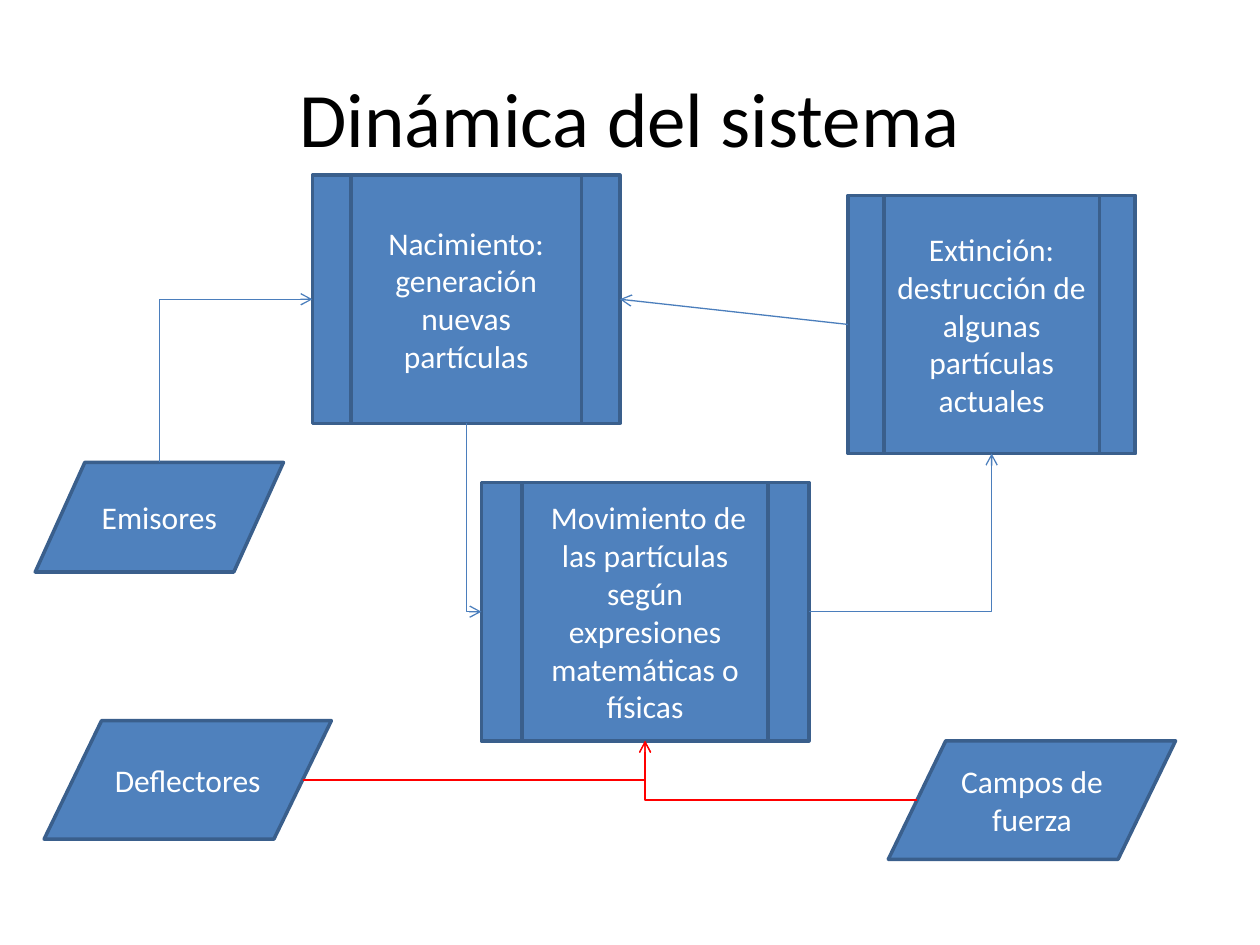
from pptx import Presentation
from pptx.dml.color import RGBColor
from pptx.enum.shapes import MSO_CONNECTOR, MSO_SHAPE
from pptx.enum.text import MSO_ANCHOR, PP_ALIGN
from pptx.oxml.ns import qn
from pptx.util import Inches, Pt
from lxml import etree

PROCESS = MSO_SHAPE.FLOWCHART_PREDEFINED_PROCESS
DATA = MSO_SHAPE.FLOWCHART_DATA
STRAIGHT = MSO_CONNECTOR.STRAIGHT
MIDDLE = MSO_ANCHOR.MIDDLE
CENTER = PP_ALIGN.CENTER

FILL, OUTLINE, BLUE, RED = "4F81BD", "3A5F8C", "4B7EBC", "FF0000"
WHITE, BLACK = "FFFFFF", "000000"

# Connection sites as fractions of width and height
TOP, LEFT, BOTTOM, RIGHT = (0.5, 0), (0, 0.5), (0.5, 1), (1, 0.5)
DATA_LEFT, DATA_RIGHT = (0.1, 0.5), (0.9, 0.5)

# name: (preset, left, top, width, height, text)
NODES = {
    "Nacimiento": (PROCESS, 2.48, 1.39, 2.44, 1.97,
                   "Nacimiento:\ngeneración nuevas partículas"),
    "Movimiento": (PROCESS, 3.82, 3.83, 2.6, 2.05,
                   " Movimiento de las partículas según expresiones "
                   "matemáticas o físicas"),
    "Extinción": (PROCESS, 6.73, 1.55, 2.28, 2.05,
                  "Extinción: destrucción de algunas partículas actuales"),
    "Emisores": (DATA, 0.28, 3.67, 1.97, 0.87, "Emisores"),
    "Campos": (DATA, 7.05, 5.88, 2.28, 0.94, "Campos de fuerza"),
    "Deflectores": (DATA, 0.35, 5.72, 2.28, 0.94, "Deflectores"),
}

# (from, site, to, site, route, colour)
ARROWS = [
    ("Nacimiento", BOTTOM, "Movimiento", LEFT, "down", BLUE),
    ("Movimiento", RIGHT, "Extinción", BOTTOM, "across", BLUE),
    ("Extinción", LEFT, "Nacimiento", RIGHT, "straight", BLUE),
    ("Campos", DATA_LEFT, "Movimiento", BOTTOM, "across", RED),
    ("Deflectores", DATA_RIGHT, "Movimiento", BOTTOM, "across", RED),
    ("Emisores", TOP, "Nacimiento", LEFT, "up", BLUE),
]


def colour(value):
    return RGBColor.from_string(value)


def format_text(text_frame, text, size, text_colour):
    text_frame.text = text
    text_frame.word_wrap = True
    text_frame.vertical_anchor = MIDDLE
    for paragraph in text_frame.paragraphs:
        paragraph.alignment = CENTER
        font = paragraph.runs[0].font
        for name, value in {"size": Pt(size), "name": "Calibri"}.items():
            setattr(font, name, value)
        font.color.rgb = colour(text_colour)


def add_node(slide, preset, left, top, width, height, text):
    box = [Inches(value) for value in (left, top, width, height)]
    shape = slide.shapes.add_shape(preset, *box)
    shape.shadow.inherit = False
    shape.fill.solid()
    shape.fill.fore_color.rgb = colour(FILL)
    shape.line.color.rgb = colour(OUTLINE)
    shape.line.width = Pt(2)
    format_text(shape.text_frame, text, 18, WHITE)
    return shape


def site_point(shape, site):
    return (int(shape.left + shape.width * site[0]),
            int(shape.top + shape.height * site[1]))


def bend(connector, route):
    """Make one corner; vertical-first routes are turned by 270 degrees."""
    properties = connector._element.spPr
    properties.find(qn("a:prstGeom")).set("prst", "bentConnector2")
    if route == "across":
        return
    left, top = connector.left, connector.top
    width, height = connector.width, connector.height
    transform = properties.find(qn("a:xfrm"))
    for name in ("flipH", "flipV"):
        transform.attrib.pop(name, None)
    transform.set("rot", str(270 * 60000))
    if route == "down":
        transform.set("flipH", "1")
    connector.left = left + (width - height) // 2
    connector.top = top + (height - width) // 2
    connector.width, connector.height = height, width


def add_arrow(slide, start, end, route, line_colour):
    connector = slide.shapes.add_connector(STRAIGHT, *start, *end)
    if route != "straight":
        bend(connector, route)
    connector.line.color.rgb = colour(line_colour)
    connector.line.width = Pt(0.75)
    line = connector.line._get_or_add_ln()
    etree.SubElement(line, qn("a:tailEnd"), type="arrow")
    etree.SubElement(connector._element.spPr, qn("a:effectLst"))


def main():
    presentation = Presentation()
    presentation.slide_width = Inches(10)
    presentation.slide_height = Inches(7.5)
    slide = presentation.slides.add_slide(presentation.slide_layouts[5])

    # Title
    title = slide.shapes.title
    box = {"left": 0.5, "top": 0.3, "width": 9, "height": 1.25}
    for name, value in box.items():
        setattr(title, name, Inches(value))
    format_text(title.text_frame, "Dinámica del sistema", 44, BLACK)

    # Processes and inputs
    nodes = {name: add_node(slide, *values) for name, values in NODES.items()}

    # Arrows
    for source, source_site, target, target_site, route, line_colour in ARROWS:
        add_arrow(slide, site_point(nodes[source], source_site),
                  site_point(nodes[target], target_site), route, line_colour)

    presentation.save("out.pptx")


main()
